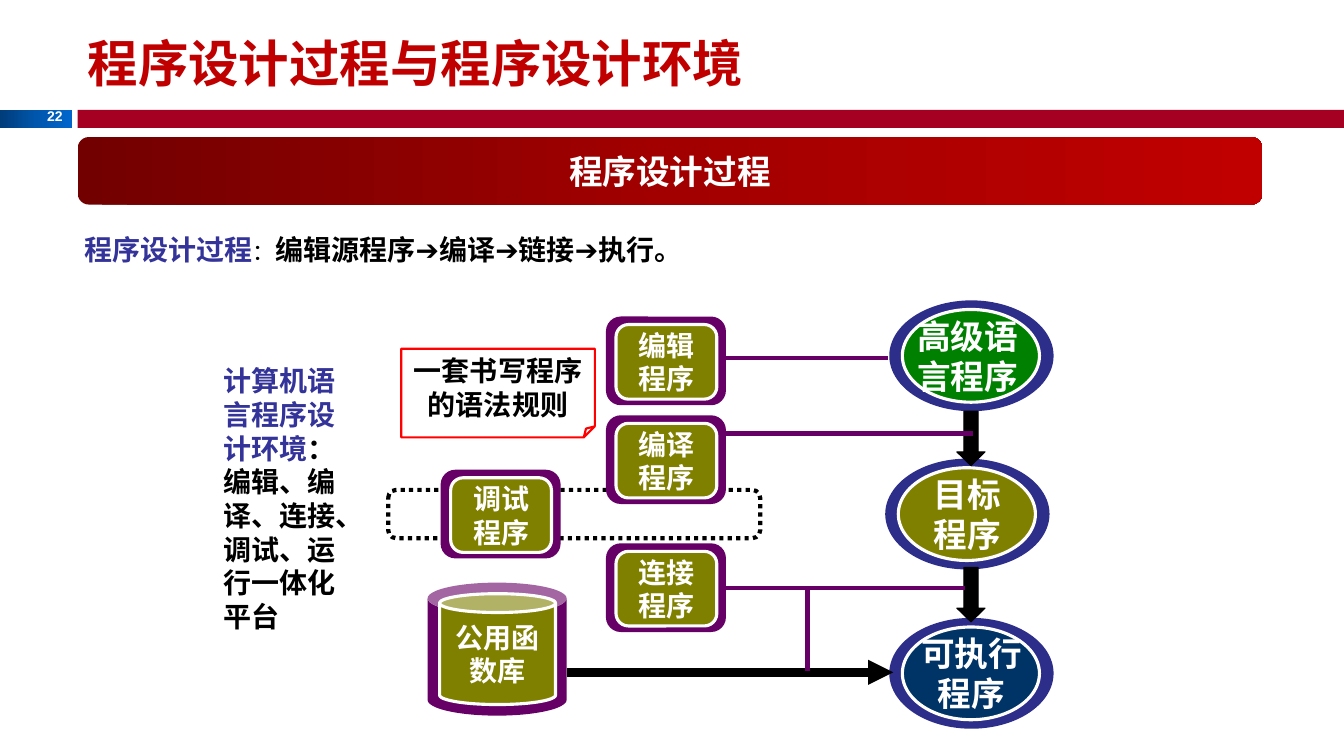
from collections import namedtuple
from copy import deepcopy
from pptx import Presentation
from pptx.dml.color import RGBColor
from pptx.enum.dml import MSO_LINE
from pptx.enum.shapes import MSO_CONNECTOR, MSO_SHAPE
from pptx.enum.text import MSO_ANCHOR, MSO_AUTO_SIZE, PP_ALIGN
from pptx.oxml.ns import qn
from pptx.util import Inches, Pt

RECT, ROUND, OVAL = MSO_SHAPE.RECTANGLE, MSO_SHAPE.ROUNDED_RECTANGLE, MSO_SHAPE.OVAL
CAN, FOLDED, DOWN = MSO_SHAPE.CAN, MSO_SHAPE.FOLDED_CORNER, MSO_SHAPE.DOWN_ARROW
LEFT, CENTER, RIGHT, JUSTIFY = PP_ALIGN.LEFT, PP_ALIGN.CENTER, PP_ALIGN.RIGHT, PP_ALIGN.JUSTIFY
TOP, MIDDLE = MSO_ANCHOR.TOP, MSO_ANCHOR.MIDDLE
STRAIGHT, DOTTED, NO_FIT = MSO_CONNECTOR.STRAIGHT, MSO_LINE.ROUND_DOT, MSO_AUTO_SIZE.NONE
RIGHT_SIDE = 3

# Theme: colours and text styles
Style = namedtuple("Style", "size font color bold")


class Theme:
    white, black, red = "FFFFFF", "000000", "FF0000"
    crimson, purple, olive = "A50021", "660066", "808000"
    ring, green, navy = "2D2D8A", "008000", "003366"
    blue_fade = ("003C79", "0056AC", "0066CC")
    red_fade = ("720000", "A20000", "C00000")
    cjk = "Noto Sans CJK SC"
    title = Style(36, cjk, "C00000", True)
    large = Style(24, cjk, white, True)
    tile = Style(20, cjk, white, True)
    term = Style(20, cjk, "333399", True)
    colon = Style(16, "Arial", black, False)
    steps = Style(20, "Arial", black, True)
    note = Style(20, "Times New Roman", black, True)
    note_term = Style(20, "Times New Roman", "333399", True)
    number = Style(10, "Arial", white, True)


def write(shape, paragraphs, align=CENTER, anchor=MIDDLE, inset=0.1, wrap=True):
    """Fill a shape with paragraphs, each a list of (text, style) runs."""
    frame = shape.text_frame
    frame.auto_size, frame.word_wrap, frame.vertical_anchor = NO_FIT, wrap, anchor
    frame.margin_left = frame.margin_right = Inches(inset)
    frame.margin_top = frame.margin_bottom = Inches(inset / 2)
    for index, runs in enumerate(paragraphs):
        paragraph = frame.add_paragraph() if index else frame.paragraphs[0]
        paragraph.alignment = align
        for text, style in runs:
            run = paragraph.add_run()
            run.text = text
            run.font.size, run.font.bold = Pt(style.size), style.bold
            run.font.color.rgb = RGBColor.from_string(style.color)
            run.font.name = style.font
            east_asian = run.font._element.makeelement(qn("a:ea"), {"typeface": Theme.cjk})
            run.font._element.append(east_asian)


def draw(kind, box, fill=None, line=None, width=2.25, adjust=()):
    """Add a preset shape; a tuple of three colours makes a gradient."""
    shape = slide.shapes.add_shape(kind, *map(Inches, box))
    shape.shadow.inherit = False
    for index, value in enumerate(adjust):
        shape.adjustments[index] = value
    if isinstance(fill, tuple):
        shape.fill.gradient()
        shape.fill.gradient_angle = 0
        stops = shape._element.spPr.find(qn("a:gradFill")).find(qn("a:gsLst"))
        stops.insert(1, deepcopy(stops[0]))
        for stop, color, position in zip(shape.fill.gradient_stops, fill, (0, 0.5, 1)):
            stop.color.rgb, stop.position = RGBColor.from_string(color), position
    elif fill:
        shape.fill.solid()
        shape.fill.fore_color.rgb = RGBColor.from_string(fill)
    else:
        shape.fill.background()
    if line:
        shape.line.color.rgb, shape.line.width = RGBColor.from_string(line), Pt(width)
    else:
        shape.line.fill.background()
    return shape


deck = Presentation()
deck.slide_width, deck.slide_height = Inches(13.33), Inches(7.5)
slide = deck.slides.add_slide(deck.slide_layouts[5])

# Title, header bar and slide number
title = slide.shapes.title
title.left, title.top, title.width, title.height = map(Inches, (0.77, 0.2, 11.67, 0.83))
write(title, [[("程序设计过程与程序设计环境", Theme.title)]], LEFT)
draw(RECT, (0, 1.09, 0.71, 0.18), Theme.blue_fade)
draw(RECT, (0.77, 1.09, 12.56, 0.18), Theme.crimson)
number = slide.shapes.add_textbox(*map(Inches, (0.35, 1.02, 0.37, 0.27)))
write(number, [[("22", Theme.number)]], RIGHT, TOP, wrap=False)

# Section banner and summary
banner = draw(ROUND, (0.77, 1.36, 11.75, 0.67), Theme.red_fade)
write(banner, [[("程序设计过程", Theme.large)]])
summary = slide.shapes.add_textbox(*map(Inches, (0.74, 2.16, 8.85, 0.53)))
write(summary, [[("程序设计过程", Theme.term), ("：", Theme.colon),
                 ("编辑源程序➔编译➔链接➔执行。", Theme.steps)]], JUSTIFY, TOP)
summary.text_frame.paragraphs[0].line_spacing = 1.3

# Environment definition and syntax note
environment = slide.shapes.add_textbox(*map(Inches, (2.12, 3.56, 1.56, 2.77)))
write(environment, [[("计算机语言程序设计环境", Theme.note_term),
                     ("：编辑、编译、连接、调试、运行一体化平台", Theme.note)]], LEFT)
syntax = draw(FOLDED, (3.98, 3.46, 1.92, 0.88), None, Theme.red, 1.5)
fold = syntax._element.spPr.find(qn("a:prstGeom")).find(qn("a:avLst"))
fold.append(fold.makeelement(qn("a:gd"), {"name": "adj", "fmla": "val 12500"}))
write(syntax, [[("一套书写程序的语法规则", Theme.note)]])

# Dotted loop behind the debugger
debug_loop = draw(ROUND, (3.85, 4.86, 3.69, 0.48), None, Theme.black, 3)
debug_loop.line.dash_style = DOTTED

# Program stages: ring, disc and label
for left, top, label_left, color, lines in (
    (8.82, 2.98, 8.92, Theme.green, ["高级语言程序"]),
    (8.78, 4.55, 8.92, Theme.olive, ["目标", "程序"]),
    (8.82, 6.13, 8.96, Theme.navy, ["可执行", "程序"]),
):
    draw(OVAL, (left, top, 1.63, 1.1), Theme.ring)
    draw(OVAL, (left + 0.13, top + 0.09, 1.36, 0.92), color, Theme.white)
    label = slide.shapes.add_textbox(*map(Inches, (label_left, top + 0.1, 1.35, 0.91)))
    write(label, [[(text, Theme.large)] for text in lines], anchor=TOP)
for top in (4.08, 5.63):
    draw(DOWN, (9.49, top, 0.28, 0.54), Theme.black, Theme.black, 0.75, [0.5, 0.486])

# Tool tiles
tools = {}
for name, left, top in (("编辑", 6.01, 3.14), ("编译", 6.01, 4.12),
                        ("连接", 6.01, 5.39), ("调试", 4.37, 4.66)):
    tools[name] = draw(ROUND, (left, top, 1.19, 0.88), Theme.purple)
    face = draw(ROUND, (left + 0.1, top + 0.08, 1, 0.74), Theme.olive, Theme.white)
    write(face, [[(name, Theme.tile)], [("程序", Theme.tile)]], inset=0)

# Function library
draw(CAN, (4.24, 5.78, 1.38, 1.32), Theme.purple, adjust=[0.237])
library = draw(CAN, (4.36, 5.89, 1.15, 1.1), Theme.olive, Theme.white, adjust=[0.17])
write(library, [[("公用函数库", Theme.tile)]], inset=0.05)

# Links from tools and library to the stages
for x1, y1, x2, y2, color, width, tool, arrow in (
    (7.18, 3.55, 8.81, 3.55, Theme.purple, 3, None, False),
    (7.14, 4.3, 9.65, 4.3, Theme.purple, 3, None, False),
    (7.2, 5.83, 9.57, 5.83, Theme.purple, 3, "连接", False),
    (5.62, 6.67, 8.86, 6.67, Theme.black, 6, None, True),
    (8.01, 5.83, 8.01, 6.66, Theme.purple, 3, None, False),
):
    link = slide.shapes.add_connector(STRAIGHT, *map(Inches, (x1, y1, x2, y2)))
    link.line.color.rgb, link.line.width = RGBColor.from_string(color), Pt(width)
    if tool:
        link.begin_connect(tools[tool], RIGHT_SIDE)
    if arrow:
        line = link.line._get_or_add_ln()
        line.append(line.makeelement(qn("a:tailEnd"), {"type": "triangle"}))
    properties = link._element.spPr
    properties.append(properties.makeelement(qn("a:effectLst"), {}))

deck.save("out.pptx")
